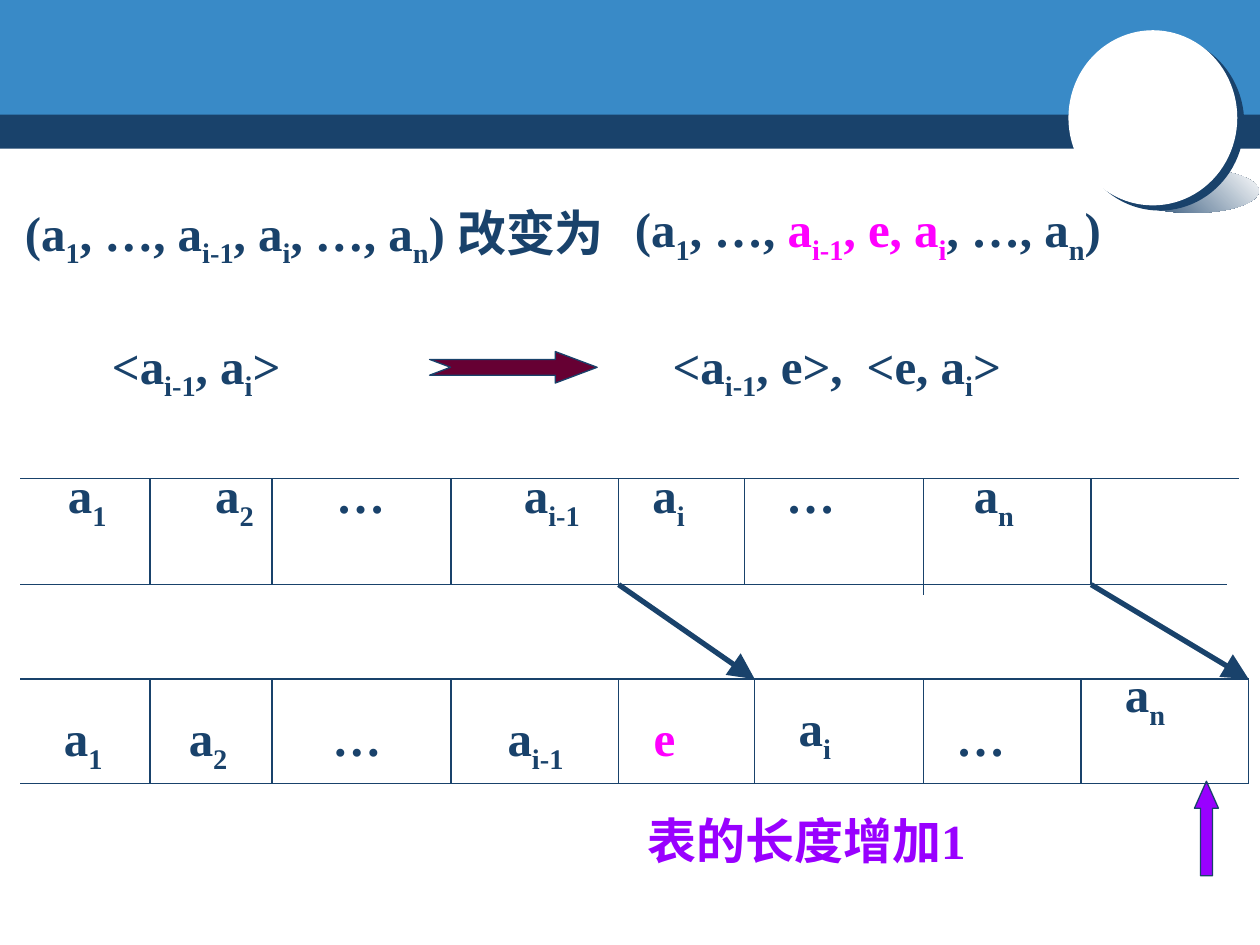
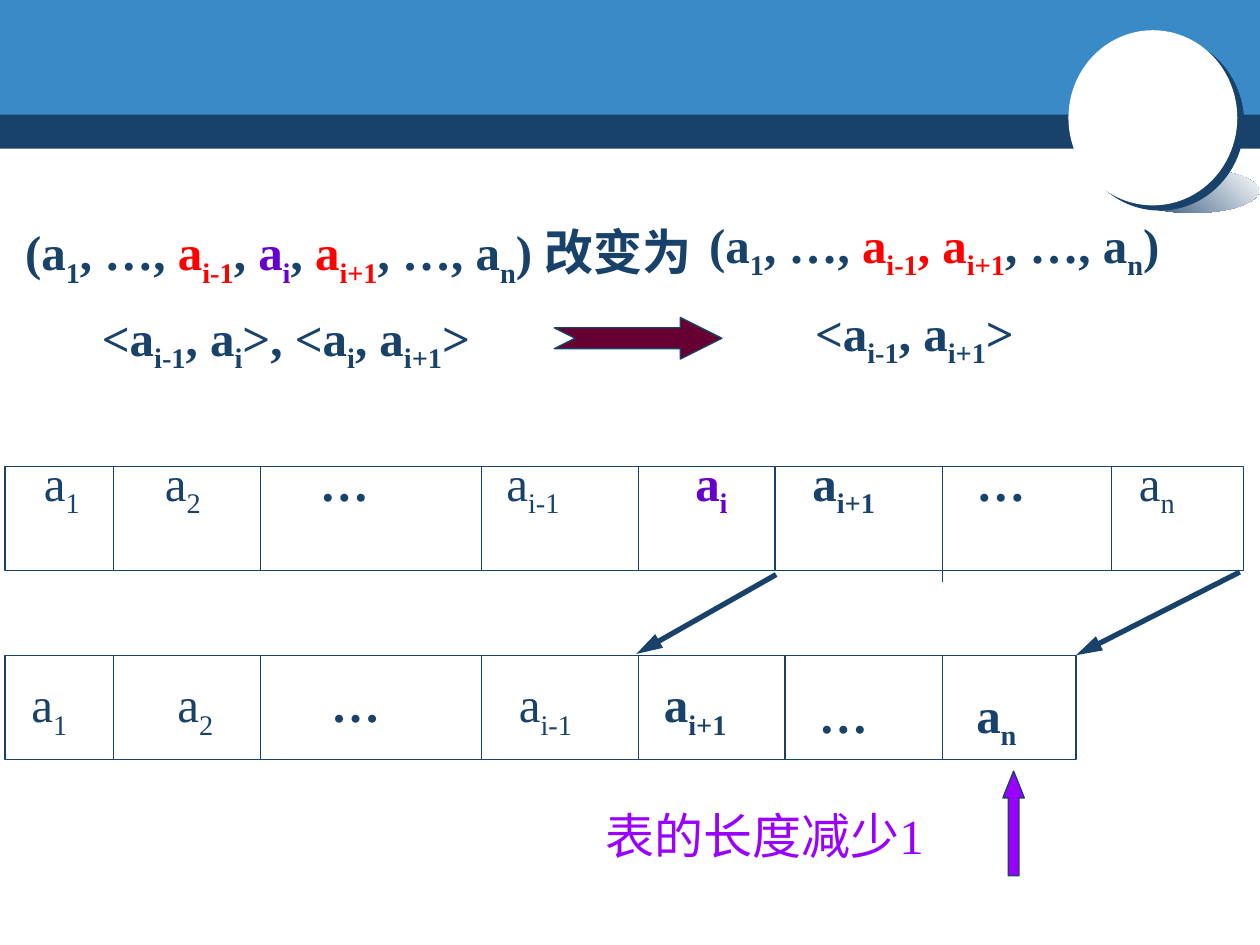
"""Builds two slides on inserting into and deleting from a sequential list."""
import lxml.etree
import pptx
import pptx.dml.color
import pptx.enum.shapes
import pptx.oxml.ns
import pptx.util

Inches = pptx.util.Inches
Pt = pptx.util.Pt
hue = pptx.dml.color.RGBColor.from_string
name = pptx.oxml.ns.qn
kinds = pptx.enum.shapes.MSO_SHAPE
navy, blue, white = "19426B", "398AC7", "FFFFFF"
pink, red, plum, wine, grape = "FF00FF", "FF0000", "6600CC", "660033", "9900FF"
base = {"name": "Times New Roman", "size": Pt(28)}

bands = [
    (kinds.RECTANGLE, (0, 0.84, 10, 0.34), navy, None, ()),
    (kinds.RECTANGLE, (0, 0, 10, 0.91), blue, None, ()),
    (kinds.OVAL, (8.94, 1.34, 1.05, 0.35), "fade", None, ()),
    (kinds.OVAL, (8.48, 0.24, 1.34, 1.39), white, None, ()),
]


def rule(slide, start, end, width=0.75, head=None):
    line = slide.shapes.add_connector(
        pptx.enum.shapes.MSO_CONNECTOR.STRAIGHT, *map(Inches, start + end))
    line.line.color.rgb = hue(navy)
    line.line.width = Pt(width)
    props = line._element.spPr
    if head:
        lxml.etree.SubElement(props.find(name("a:ln")), name("a:tailEnd"),
                              type="triangle", w=head, len="lg")
    lxml.etree.SubElement(props, name("a:effectLst"))


def write(slide, box, parts, stops=(), space=None):
    shape = slide.shapes.add_textbox(*map(Inches, box))
    shape.text_frame.word_wrap = True
    para = shape.text_frame.paragraphs[0]
    if space:
        para.line_spacing = space
    if stops:
        tabs = lxml.etree.SubElement(para._p.get_or_add_pPr(), name("a:tabLst"))
        for stop in stops:
            lxml.etree.SubElement(tabs, name("a:tab"), algn="l",
                                  pos=str(Inches(stop - box[0] - 0.1)))
    for marks, tint, bold in parts:
        for spot, text in enumerate(marks.split("|")):
            if not text:
                continue
            run = para.add_run()
            run.text = text
            for key, value in {**base, "bold": bold}.items():
                setattr(run.font, key, value)
            run.font.color.rgb = hue(tint)
            if spot % 2:
                run._r.get_or_add_rPr().set("baseline", "-25000")


grow = {
    "shapes": [
        (kinds.NOTCHED_RIGHT_ARROW, (3.41, 2.79, 1.33, 0.25), wine, navy, (0.5, 1.33)),
        (kinds.UP_ARROW, (9.48, 6.2, 0.19, 0.75), grape, navy, (0.5, 1.13)),
    ],
    "rows": [
        (3.8, 0.84, (1.19, 2.16, 3.58, 4.91, 5.91, 8.66)),
        (5.39, 0.83, (1.19, 2.16, 3.58, 4.91, 5.99, 7.33, 8.58, 9.91)),
    ],
    "lines": [
        ((0.16, 3.8), (9.83, 3.8)),
        ((0.16, 4.64), (9.74, 4.64)),
        ((7.33, 3.8), (7.33, 4.72)),
        ((0.16, 5.39), (9.91, 5.39)),
        ((0.16, 6.22), (9.91, 6.22)),
        ((4.91, 4.64), (5.99, 5.39), 3, "lg"),
        ((8.66, 4.64), (9.91, 5.39), 3, "lg"),
    ],
    "texts": [
        ((0.1, 1.56, 5, 0.57),
         [("(a|1|, …, a|i-1|, a|i|, …, a|n|) 改变为", navy, True)]),
        ((4.94, 1.53, 4, 0.57),
         [("(a|1|, …,", navy, True), (" a|i-1|, e, a|i", pink, True),
          (", …, a|n|)", navy, True)]),
        ((0.79, 2.61, 1.6, 0.57), [("<a|i-1|, a|i|>", navy, True)]),
        ((5.24, 2.61, 2.97, 0.57),
         [("<a|i-1|, e>,", navy, True), ("\t<e, a|i|>", navy, True)], (6.88,)),
        ((0.44, 3.64, 9.4, 0.57),
         [("a|1|\ta|2|\t…\ta|i-1|\ta|i|\t…\ta|n", navy, True)],
         (1.71, 2.67, 4.16, 5.18, 6.24, 7.73)),
        ((0.41, 5.57, 4.46, 0.57),
         [("a|1|\ta|2|\t…\ta|i-1", navy, True)], (1.5, 2.64, 4.03)),
        ((5.09, 5.57, 0.47, 0.57), [("e", pink, True)]),
        ((6.24, 5.49, 0.57, 0.57), [("a|i", navy, True)]),
        ((7.49, 5.57, 0.69, 0.57), [("…", navy, True)]),
        ((8.83, 5.22, 0.81, 0.57), [("a|n", navy, True)]),
        ((5.04, 6.38, 2.95, 0.57), [("表的长度增加1", grape, True)]),
    ],
}

shrink = {
    "shapes": [
        (kinds.NOTCHED_RIGHT_ARROW, (4.4, 2.52, 1.33, 0.33), wine, navy, (0.5, 1)),
        (kinds.UP_ARROW, (7.96, 6.12, 0.17, 0.83), grape, navy, (0.5, 1.25)),
        (kinds.RECTANGLE, (0.04, 3.7, 9.83, 0.83), None, navy, ()),
        (kinds.RECTANGLE, (0.04, 5.2, 8.5, 0.83), None, navy, ()),
    ],
    "rows": [
        (3.7, 0.83, (0.9, 2.07, 3.82, 5.07, 6.15, 8.82)),
        (5.2, 0.83, (0.9, 2.07, 3.82, 5.07, 6.23, 7.48)),
    ],
    "lines": [
        ((7.48, 3.7), (7.48, 4.62)),
        ((6.16, 4.56), (5.05, 5.19), 3, "med"),
        ((9.84, 4.54), (8.54, 5.2), 3, "med"),
    ],
    "texts": [
        ((0.1, 1.58, 5.75, 0.68),
         [("(a|1|, …, ", navy, True), ("a|i-1", red, True), (", ", navy, True),
          ("a|i", plum, True), (", ", navy, True), ("a|i+1", red, True),
          (", …, a|n|) 改变为", navy, True)], (), 1.25),
        ((5.53, 1.65, 3.92, 0.57),
         [("(a|1|, …, ", navy, True), ("a|i-1|, a|i+1", red, True),
          (", …, a|n|)", navy, True)]),
        ((0.71, 2.39, 3.25, 0.57),
         [("<a|i-1|, a|i|>, <a|i|, a|i+1|>", navy, True)]),
        ((6.37, 2.35, 1.88, 0.57), [("<a|i-1|, a|i+1|>", navy, True)]),
        ((0.25, 3.54, 9.6, 0.57),
         [("a|1|\ta|2|\t", navy, False), ("…", navy, True),
          ("\ta|i-1|\t", navy, False), ("a|i|\t", plum, True),
          ("a|i+1|\t…", navy, True), ("\ta|n", navy, False)],
         (1.31, 2.54, 4.02, 5.52, 6.45, 7.75, 9.04)),
        ((0.15, 5.3, 4.78, 0.57),
         [("a|1|\ta|2|\t", navy, False), ("…", navy, True),
          ("\ta|i-1", navy, False)], (1.41, 2.63, 4.12)),
        ((5.17, 5.3, 0.85, 0.57), [("a|i+1", navy, True)]),
        ((6.4, 5.38, 0.69, 0.57), [("…", navy, True)]),
        ((7.65, 5.38, 0.64, 0.57), [("a|n", navy, True)]),
        ((4.71, 6.34, 2.73, 0.57), [("表的长度减少1", grape, False)]),
    ],
}

deck = pptx.Presentation()
deck.slide_width, deck.slide_height = Inches(10), Inches(7.5)

for plan in (grow, shrink):
    slide = deck.slides.add_slide(deck.slide_layouts[6])
    for kind, box, fill, edge, bends in bands + plan["shapes"]:
        shape = slide.shapes.add_shape(kind, *map(Inches, box))
        shape.shadow.inherit = False
        if fill == "fade":
            shape.fill.gradient()
            shape.fill.gradient_angle = 45
            for stop, tint in zip(shape.fill.gradient_stops, (navy, white)):
                stop.color.rgb = hue(tint)
        elif fill:
            shape.fill.solid()
            shape.fill.fore_color.rgb = hue(fill)
        else:
            shape.fill.background()
        if edge:
            shape.line.color.rgb = hue(edge)
            shape.line.width = Pt(0.75)
        else:
            shape.line.fill.background()
        for spot, bend in enumerate(bends):
            shape.adjustments[spot] = bend
        if fill == white:
            glow = lxml.etree.SubElement(
                shape._element.spPr.find(name("a:effectLst")), name("a:outerShdw"),
                blurRad="0", dist=str(Pt(5)), dir=str(37 * 60000),
                algn="ctr", rotWithShape="0")
            lxml.etree.SubElement(glow, name("a:srgbClr"), val=navy)
    for top, tall, cuts in plan["rows"]:
        for cut in cuts:
            rule(slide, (cut, top), (cut, top + tall))
    for line in plan["lines"]:
        rule(slide, *line)
    for text in plan["texts"]:
        write(slide, *text)

deck.save("out.pptx")
